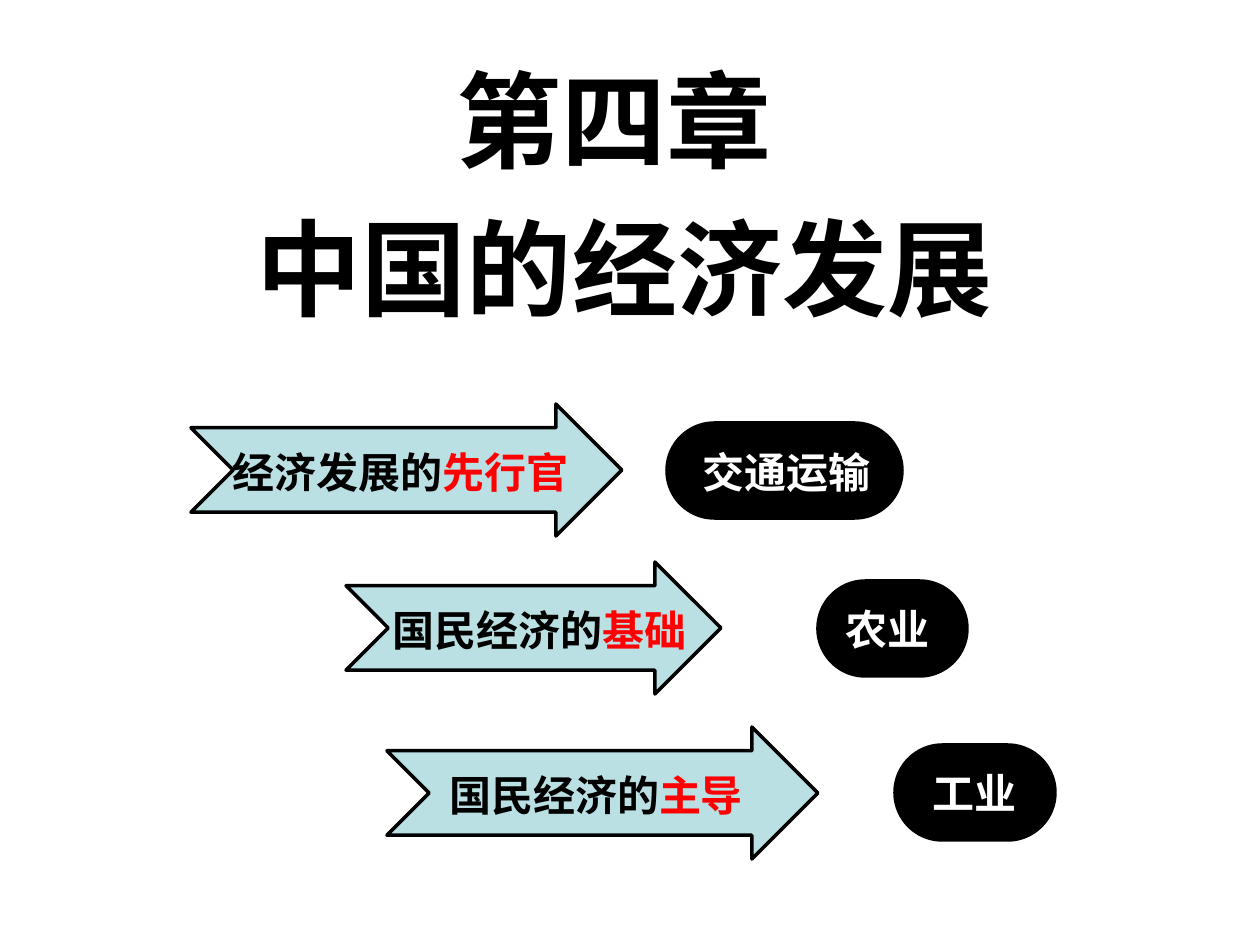
from typing import NamedTuple

from lxml.etree import SubElement
from pptx import Presentation
from pptx.dml.color import RGBColor
from pptx.enum.shapes import MSO_SHAPE as Kind
from pptx.enum.text import MSO_ANCHOR as Anchor, PP_ALIGN as Align
from pptx.oxml.ns import qn
from pptx.util import Emu, Pt

PX = 914400 // 126
FONT = "Noto Sans CJK SC"
BLACK, WHITE, RED, TEAL = "000000", "FFFFFF", "FF0000", "BBE0E3"


class Box(NamedTuple):
    left: int
    top: int
    width: int
    height: int


class Run(NamedTuple):
    text: str
    color: str = BLACK


class Row(NamedTuple):
    arrow: Box
    lead: str
    key: str
    note: Box
    pill: Box
    name: str
    label: Box


ROWS = [
    Row(Box(191, 404, 431, 132), "经济发展的", "先行官", Box(220, 440, 361, 63),
        Box(667, 423, 235, 95), "交通运输", Box(690, 440, 193, 63)),
    Row(Box(346, 562, 375, 132), "国民经济的", "基础", Box(363, 598, 353, 63),
        Box(818, 581, 149, 95), "农业", Box(833, 597, 110, 63)),
    Row(Box(387, 727, 431, 132), "国民经济的", "主导", Box(436, 763, 320, 63),
        Box(895, 745, 160, 95), "工业", Box(920, 761, 110, 63)),
]


def emu(box: Box) -> list[Emu]:
    return [Emu(n * PX) for n in box]


def rgb(code: str) -> RGBColor:
    return RGBColor.from_string(code)


def draw(slide, kind: Kind, box: Box, fill: str, adjust: list[float]) -> None:
    shape = slide.shapes.add_shape(kind, *emu(box))
    shape.shadow.inherit = False
    shape.fill.solid()
    shape.fill.fore_color.rgb = rgb(fill)
    shape.line.color.rgb = rgb(BLACK)
    shape.line.width = Pt(2)
    for i, value in enumerate(adjust):
        shape.adjustments[i] = value


def write(slide, box: Box, runs: list[Run], size: int, align: Align = Align.LEFT,
          **frame) -> None:
    """Put one line of bold text in a box; frame holds text frame settings."""
    text = slide.shapes.add_textbox(*emu(box)).text_frame
    for key, value in frame.items():
        setattr(text, key, value)
    para = text.paragraphs[0]
    para.alignment = align
    for item in runs:
        run = para.add_run()
        run.text = item.text
        for key, value in {"size": Pt(size), "bold": True, "name": FONT}.items():
            setattr(run.font, key, value)
        run.font.color.rgb = rgb(item.color)
        # East Asian glyphs take their font from a:ea
        SubElement(run._r.get_or_add_rPr(), qn("a:ea"), typeface=FONT)


def main() -> None:
    deck = Presentation()
    deck.slide_width, deck.slide_height = Emu(1260 * PX), Emu(945 * PX)
    slide = deck.slides.add_slide(deck.slide_layouts[6])

    write(slide, Box(47, 39, 1134, 158), [Run("第四章")], 60, Align.CENTER,
          word_wrap=True, vertical_anchor=Anchor.MIDDLE)
    write(slide, Box(76, 197, 1134, 210), [Run("中国的经济发展")], 60,
          word_wrap=True, margin_left=Emu(181 * PX))

    for row in ROWS:
        draw(slide, Kind.NOTCHED_RIGHT_ARROW, row.arrow, TEAL, [0.64, 0.5])
        write(slide, row.note, [Run(row.lead), Run(row.key, RED)], 24,
              Align.CENTER, word_wrap=False)
        draw(slide, Kind.ROUNDED_RECTANGLE, row.pill, BLACK, [0.5])
        write(slide, row.label, [Run(row.name, WHITE)], 24, word_wrap=False)

    deck.save("out.pptx")


if __name__ == "__main__":
    main()
